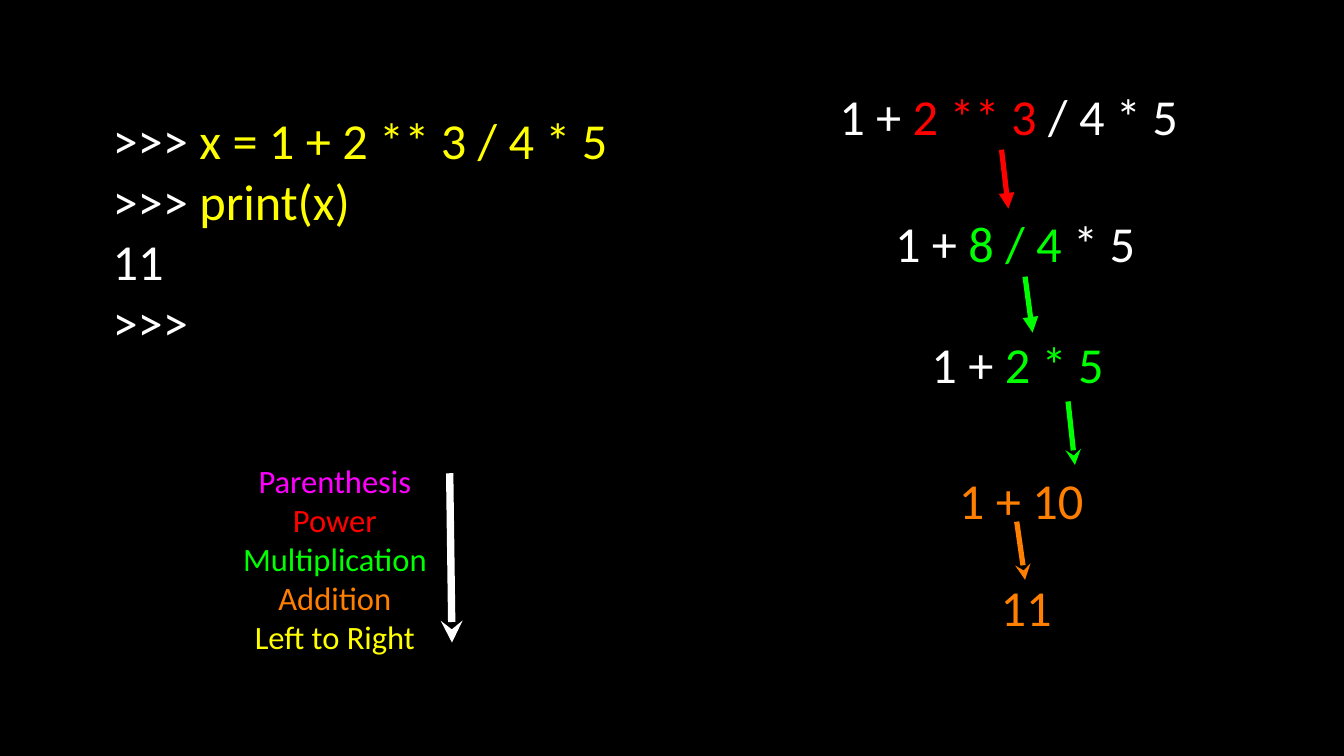
from lxml.etree import SubElement
from pptx import Presentation
from pptx.dml.color import RGBColor
from pptx.enum.shapes import MSO_CONNECTOR as Connector
from pptx.enum.text import MSO_ANCHOR as Anchor, MSO_AUTO_SIZE as AutoSize, PP_ALIGN as Align
from pptx.oxml.ns import qn
from pptx.util import Inches, Pt

BLACK = RGBColor(0x00, 0x00, 0x00)
WHITE = RGBColor(0xFF, 0xFF, 0xFF)
MAGENTA = RGBColor(0xFF, 0x00, 0xFF)
RED = RGBColor(0xFF, 0x00, 0x00)
GREEN = RGBColor(0x00, 0xFF, 0x00)
ORANGE = RGBColor(0xFF, 0x7F, 0x00)
YELLOW = RGBColor(0xFF, 0xFF, 0x00)

deck = Presentation()
deck.slide_width, deck.slide_height = Inches(17.78), Inches(10)
COLUMN, ROW = deck.slide_width / 100, deck.slide_height / 100  # percent grid

FRAME_FORMAT = {
    "margin_left": 0, "margin_right": 0, "margin_top": 0, "margin_bottom": 0,
    "word_wrap": True, "vertical_anchor": Anchor.MIDDLE,
    "auto_size": AutoSize.SHAPE_TO_FIT_TEXT,
}


def add_lines(shapes, left, top, width, height, lines, size, align=Align.LEFT):
    """Add a text box; each line is a list of (text, colour) runs."""
    frame = shapes.add_textbox(int(left * COLUMN), int(top * ROW),
                               int(width * COLUMN), int(height * ROW)).text_frame
    for name, value in FRAME_FORMAT.items():
        setattr(frame, name, value)
    for number, runs in enumerate(lines):
        paragraph = frame.add_paragraph() if number else frame.paragraphs[0]
        paragraph.alignment = align
        for words, colour in runs:
            run = paragraph.add_run()
            run.text = words
            run.font.name, run.font.size = "Calibri", Pt(size)
            run.font.color.rgb = colour


def add_arrow(shapes, tip, tail, colour, weight, head):
    (tip_x, tip_y), (tail_x, tail_y) = tip, tail
    arrow = shapes.add_connector(Connector.STRAIGHT, int(tip_x * COLUMN), int(tip_y * ROW),
                                 int(tail_x * COLUMN), int(tail_y * ROW))
    arrow.line.color.rgb, arrow.line.width = colour, Pt(weight)
    SubElement(arrow.line._get_or_add_ln(), qn("a:headEnd"), type=head)
    SubElement(arrow._element.spPr, qn("a:effectLst"))


slide = deck.slides.add_slide(deck.slide_layouts[6])
slide.background.fill.solid()
slide.background.fill.fore_color.rgb = BLACK

# Precedence rules, highest first
rules = [("Parenthesis", MAGENTA), ("Power", RED), ("Multiplication", GREEN),
         ("Addition", ORANGE), ("Left to Right", YELLOW)]
precedence = slide.shapes.add_group_shape().shapes
add_lines(precedence, 17.15, 60.9, 15.52, 25.9, [[rule] for rule in rules], 31, Align.CENTER)
add_arrow(precedence, (33.63, 85), (33.46, 62.6), WHITE, 7, "stealth")

# Evaluation steps, all centred on one axis
STEP_AXIS, STEP_HEIGHT = 76.6, 8
steps = [
    (11.2, 28.3, [("1 + ", WHITE), ("2 ** 3", RED), (" / 4 * 5", WHITE)]),
    (28.1, 20, [("1 + ", WHITE), ("8 / 4", GREEN), (" * 5", WHITE)]),
    (44.1, 14.6, [("1 + ", WHITE), ("2 * 5", GREEN)]),
    (62, 10.5, [("1 + 10", ORANGE)]),
    (76.2, 4.3, [("11", ORANGE)]),
]
for top, width, expression in steps:
    add_lines(slide.shapes, STEP_AXIS - width / 2, top, width, STEP_HEIGHT, [expression], 48)

reductions = [
    ((75.03, 27.6), (74.52, 19.8), RED, "triangle"),
    ((76.83, 44), (76.27, 36.6), GREEN, "triangle"),
    ((79.98, 61.5), (79.47, 53.1), GREEN, "stealth"),
    ((76.27, 76.7), (75.65, 69), ORANGE, "stealth"),
]
for tip, tail, colour, head in reductions:
    add_arrow(slide.shapes, tip, tail, colour, 5, head)

# Interpreter session
session = [
    [(">>> ", WHITE), ("x = 1 + 2 ** 3 / 4 * 5", YELLOW)],
    [(">>> ", WHITE), ("print(x)", YELLOW)],
    [("11", WHITE)],
    [(">>>", WHITE)],
]
add_lines(slide.shapes, 8.38, 14.5, 41.73, 32, session, 48)

deck.save("out.pptx")
